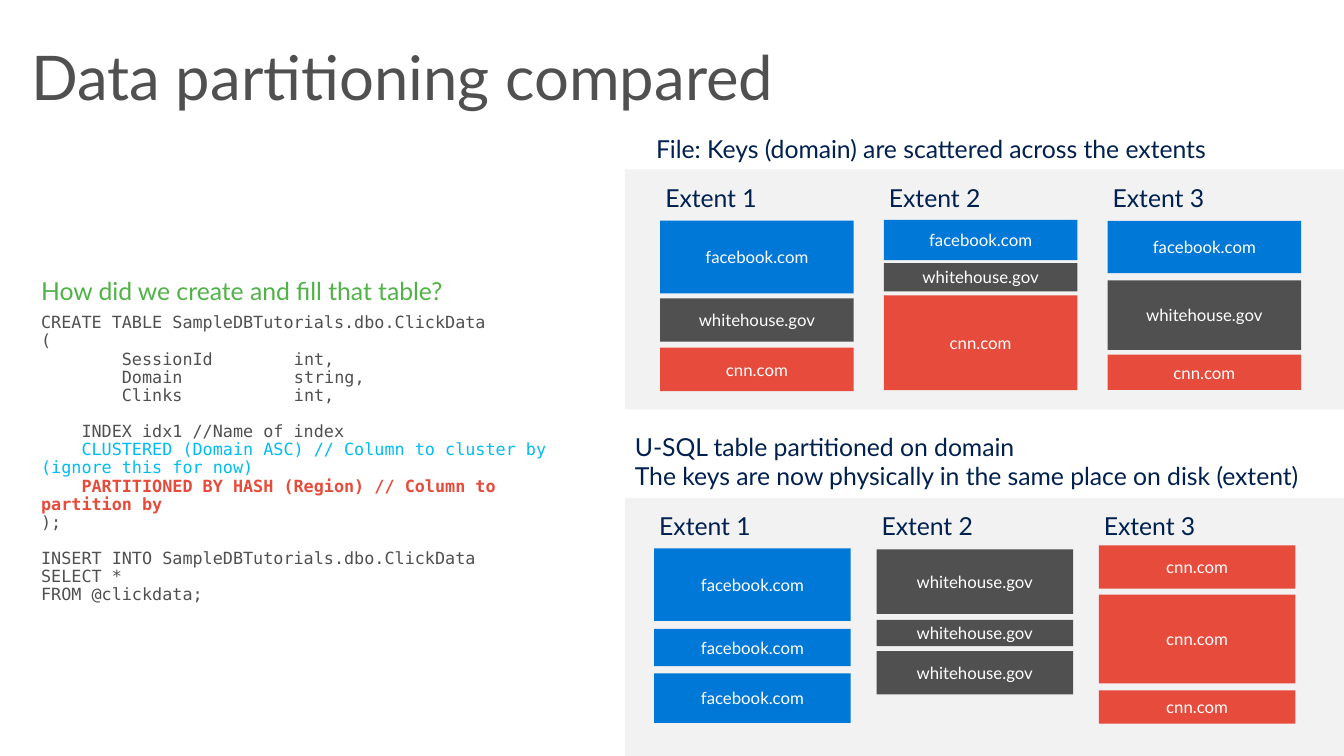
from pptx import Presentation
from pptx.dml.color import RGBColor
from pptx.enum.shapes import MSO_SHAPE
from pptx.enum.text import MSO_ANCHOR, PP_ALIGN
from pptx.oxml import parse_xml
from pptx.oxml.ns import nsdecls
from pptx.util import Pt

RECT = MSO_SHAPE.RECTANGLE
TOP, MIDDLE = MSO_ANCHOR.TOP, MSO_ANCHOR.MIDDLE
LEFT, CENTER = PP_ALIGN.LEFT, PP_ALIGN.CENTER

COLORS = {"panel": "F2F2F2", "navy": "002050", "gray": "505050", "green": "50B347",
          "blue": "0078D7", "red": "E74B3C", "cyan": "00BCF2", "white": "FFFFFF"}
SANS, MONO = "Lato", "DejaVu Sans Mono"
HEADING = {"name": SANS, "size": Pt(17.7)}
BLOCK = {"name": SANS, "size": Pt(12)}
CODE = {"name": MONO, "size": Pt(12)}
TITLE = {"name": SANS, "size": Pt(44)}

TITLE_TEXT = "Data partitioning compared"
QUESTION = "How did we create and fill that table?"
CODE_LINES = [
    ("CREATE TABLE SampleDBTutorials.dbo.ClickData", "gray", 0),
    ("(", "gray", 0),
    ("        SessionId\tint,", "gray", 0),
    ("        Domain\tstring,", "gray", 0),
    ("        Clinks\tint,", "gray", 0),
    ("    INDEX idx1 //Name of index", "gray", 1),
    ("    CLUSTERED (Domain ASC) // Column to cluster by (ignore this for now)", "cyan", 0),
    ("    PARTITIONED BY HASH (Region) // Column to partition by", "red", 0),
    (");", "gray", 0),
    ("INSERT INTO SampleDBTutorials.dbo.ClickData", "gray", 1),
    ("SELECT *", "gray", 0),
    ("FROM @clickdata;", "gray", 0),
]
CODE_LINE_HEIGHT = 13
TYPE_COLUMN = 180.6

FB, WH, CNN = "facebook.com", "whitehouse.gov", "cnn.com"
DOMAIN_COLORS = {FB: "blue", WH: "gray", CNN: "red"}
PANEL_LEFT, PANEL_WIDTH = 446.4, 513.6

LAYOUTS = [
    {"caption": ["File: Keys (domain) are scattered across the extents"],
     "caption_box": (461.5, 92.2, 447, 28.8),
     "panel": (121, 171.4), "label": (130.3, 21.6),
     "left": 471.6, "pitch": 159.8, "width": 138.2,
     "extents": [
         [(FB, 157.7, 52), (WH, 213.1, 31), (CNN, 248.4, 31)],
         [(FB, 157, 28.8), (WH, 187.9, 20.2), (CNN, 211, 67.7)],
         [(FB, 157.7, 37.4), (WH, 200.2, 49.7), (CNN, 253.4, 25.2)]]},
    {"caption": ["U-SQL table partitioned on domain",
                 "The keys are now physically in the same place on disk (extent)"],
     "caption_box": (446.4, 304.6, 498.2, 50.4),
     "panel": (355.7, 184.3), "label": (365, 20.9),
     "left": 467.3, "pitch": 158.8, "width": 140.4,
     "extents": [
         [(FB, 391.7, 51.8), (FB, 449.3, 26.6), (FB, 481, 35.3)],
         [(WH, 392.4, 46.1), (WH, 442.8, 18.7), (WH, 465.1, 31)],
         [(CNN, 389.5, 31), (CNN, 424.8, 63.4), (CNN, 493.2, 23.8)]]},
]


def rgb(color):
    return RGBColor.from_string(COLORS[color])


def write(p, text, style, color, **extra):
    r = p.add_run()
    r.text = text
    for key, value in {**style, **extra}.items():
        setattr(r.font, key, value)
    r.font.color.rgb = rgb(color)


def add_rect(shapes, box, color):
    sp = shapes.add_shape(RECT, *map(Pt, box))
    sp.shadow.inherit = False
    sp.fill.solid()
    sp.fill.fore_color.rgb = rgb(color)
    sp.line.fill.background()
    return sp


def add_text(shapes, box, lines=(), anchor=TOP, inset=None):
    tf = shapes.add_textbox(*map(Pt, box)).text_frame
    tf.word_wrap = True
    tf.vertical_anchor = anchor
    if inset is not None:
        for side in ("left", "top", "right", "bottom"):
            setattr(tf, f"margin_{side}", Pt(inset))
    for i, line in enumerate(lines):
        p = tf.add_paragraph() if i else tf.paragraphs[0]
        write(p, line, HEADING, "navy")
    return tf


def add_layout(shapes, layout):
    top, height = layout["panel"]
    add_rect(shapes, (PANEL_LEFT, top, PANEL_WIDTH, height), "panel")
    add_text(shapes, layout["caption_box"], layout["caption"])
    blocks = shapes.add_group_shape().shapes
    label_top, label_height = layout["label"]
    width = layout["width"]
    for i, extent in enumerate(layout["extents"]):
        x = layout["left"] + i * layout["pitch"]
        add_text(shapes, (x, label_top, width, label_height),
                 [f"Extent {i + 1}"], MIDDLE, 3.6)
        for domain, y, h in extent:
            tf = add_rect(blocks, (x, y, width, h), DOMAIN_COLORS[domain]).text_frame
            tf.vertical_anchor = MIDDLE
            tf.paragraphs[0].alignment = CENTER
            write(tf.paragraphs[0], domain, BLOCK, "white")


def add_code(shapes):
    tf = add_text(shapes, (22.3, 193.7, 405.4, 231.1))
    p = tf.paragraphs[0]
    p.space_after = Pt(6)
    write(p, QUESTION, HEADING, "green")
    for line, color, gap in CODE_LINES:
        p = tf.add_paragraph()
        p.line_spacing = 0.9
        p.space_before = Pt(gap * CODE_LINE_HEIGHT)
        if "\t" in line:
            p._p.get_or_add_pPr().append(parse_xml(
                f'<a:tabLst {nsdecls("a")}><a:tab pos="{Pt(TYPE_COLUMN)}" algn="l"/></a:tabLst>'))
        write(p, line, CODE, color, bold=color == "red")


def main():
    prs = Presentation()
    prs.slide_width, prs.slide_height = Pt(960), Pt(540)
    s = prs.slides.add_slide(prs.slide_layouts[5])
    title = s.shapes.title
    title.left, title.top, title.width, title.height = map(Pt, (15.1, 23.8, 930.2, 67.7))
    tf = title.text_frame
    tf.word_wrap = True
    tf.vertical_anchor = MIDDLE
    p = tf.paragraphs[0]
    p.alignment = LEFT
    p.line_spacing = 0.9
    write(p, TITLE_TEXT, TITLE, "gray")
    for layout in LAYOUTS:
        add_layout(s.shapes, layout)
    add_code(s.shapes)
    prs.save("out.pptx")


if __name__ == "__main__":
    main()
